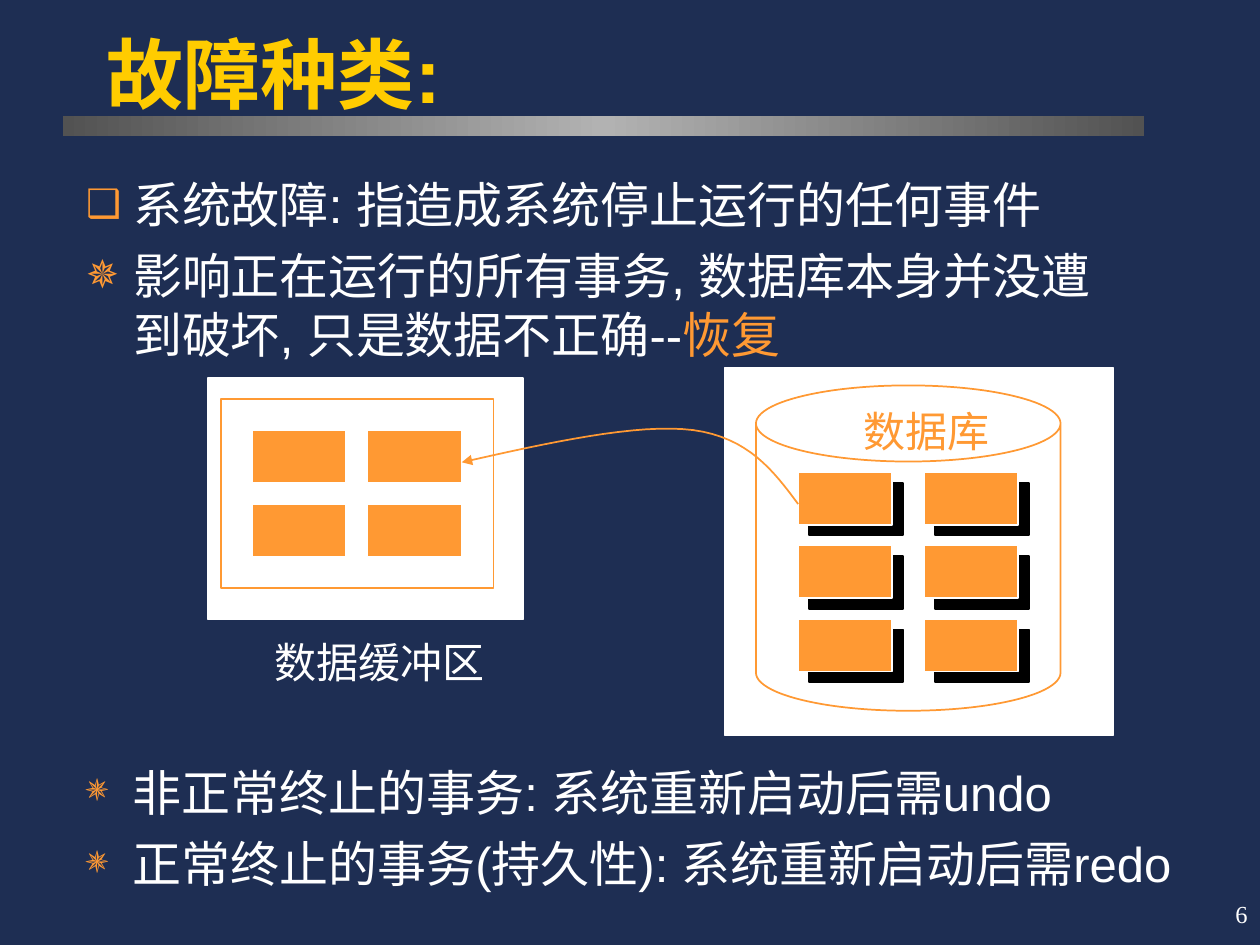
from copy import deepcopy

from lxml import etree
from pptx import Presentation
from pptx.dml.color import RGBColor
from pptx.enum.shapes import MSO_SHAPE as Shape
from pptx.enum.text import MSO_ANCHOR as Anchor, MSO_AUTO_SIZE as AutoSize, PP_ALIGN as Align
from pptx.oxml.ns import qn
from pptx.util import Cm, Pt

NAVY = RGBColor(0x1E, 0x2E, 0x53)
WHITE = RGBColor(0xFF, 0xFF, 0xFF)
ORANGE = RGBColor(0xFF, 0x99, 0x33)
GOLD = RGBColor(0xFF, 0xCC, 0x00)
BLACK = RGBColor(0x00, 0x00, 0x00)
DARK_GREY = RGBColor(0x52, 0x52, 0x52)
LIGHT_GREY = RGBColor(0xB2, 0xB2, 0xB2)

SQUARE, STAR = "❑", "✵"


def add_node(parent, tag, **attributes):
    return etree.SubElement(parent, qn(tag), attributes)


class SlidePainter:
    heading_font = "Arial"
    label_font = "Times New Roman"
    line_width = Pt(1)

    def __init__(self, page):
        self.page = page
        page.background.fill.solid()
        page.background.fill.fore_color.rgb = NAVY

    def place(self, box, area):
        box.left, box.top, box.width, box.height = map(Cm, area)

    def style_span(self, span, size, color, font, bold=False):
        span.font.size = Pt(size)
        span.font.name = font
        span.font.bold = bold
        span.font.color.rgb = color

    def title(self, text, area):
        box = self.page.shapes.title
        self.place(box, area)
        frame = box.text_frame
        frame.text = text
        frame.auto_size = AutoSize.NONE
        frame.vertical_anchor = Anchor.BOTTOM
        para = frame.paragraphs[0]
        para.alignment = Align.LEFT
        self.style_span(para.runs[0], 44, GOLD, self.heading_font, bold=True)

    def text_box(self, area):
        return self.page.shapes.add_textbox(*map(Cm, area))

    def bullets(self, box, items):
        """Each item is a bullet sign followed by (text, color) spans."""
        frame = box.text_frame
        frame.word_wrap = True
        frame.auto_size = AutoSize.NONE
        for index, (sign, *spans) in enumerate(items):
            para = frame.add_paragraph() if index else frame.paragraphs[0]
            para.space_before = Pt(7 if index else 0)
            props = para._p.get_or_add_pPr()
            props.set("marL", str(Cm(0.95)))
            props.set("indent", str(-Cm(0.95)))
            add_node(add_node(props, "a:buClr"), "a:srgbClr", val=str(ORANGE))
            add_node(props, "a:buSzPct", val="80000")
            add_node(props, "a:buChar", char=sign)
            for text, color in spans:
                span = para.add_run()
                span.text = text
                self.style_span(span, 28, color, self.heading_font)

    def label(self, text, area, color, size=24, align=Align.LEFT, anchor=Anchor.TOP):
        frame = self.text_box(area).text_frame
        frame.text = text
        frame.word_wrap = True
        frame.vertical_anchor = anchor
        para = frame.paragraphs[0]
        para.alignment = align
        self.style_span(para.runs[0], size, color, self.label_font)

    def shape(self, kind, area, fill=None, line=None):
        box = self.page.shapes.add_shape(kind, *map(Cm, area))
        box.shadow.inherit = False
        self.paint(box, fill, line)
        return box

    def paint(self, box, fill, line):
        if fill is None:
            box.fill.background()
        else:
            box.fill.solid()
            box.fill.fore_color.rgb = fill
        if line is None:
            box.line.fill.background()
        else:
            box.line.color.rgb = line
            box.line.width = self.line_width

    def gradient_bar(self, area, colors):
        bar = self.shape(Shape.RECTANGLE, area)
        bar.fill.gradient()
        bar.fill.gradient_angle = 0
        stop_list = bar._element.spPr.find(".//" + qn("a:gsLst"))
        stop_list.append(deepcopy(stop_list[0]))
        for index, (stop, color) in enumerate(zip(bar.fill.gradient_stops, colors)):
            stop.position = index / (len(colors) - 1)
            stop.color.rgb = color

    def block_grid(self, left, top, columns, rows, column_step, shadow=False):
        for row in range(rows):
            for column in range(columns):
                area = (left + column * column_step, top + row * 1.48, 1.9, 1.06)
                block = self.shape(Shape.RECTANGLE, area, ORANGE, WHITE)
                if shadow:
                    self.hard_shadow(block)

    def hard_shadow(self, box):
        effects = box._element.spPr.find(qn("a:effectLst"))
        shadow = add_node(effects, "a:outerShdw", blurRad="0", dist=str(Pt(8.5)),
                          dir="2700000", algn="ctr", rotWithShape="0")
        add_node(shadow, "a:srgbClr", val=str(BLACK))

    def curved_arrow(self, start, *segments, steps=16):
        """Draw cubic Bezier segments, each given as two controls and an end."""
        points = []
        origin = start
        for segment in segments:
            anchors = (origin, *segment)
            for step in range(1, steps + 1):
                t = step / steps
                weights = ((1 - t) ** 3, 3 * t * (1 - t) ** 2, 3 * t * t * (1 - t), t ** 3)
                points.append(tuple(
                    Cm(sum(w * anchor[axis] for w, anchor in zip(weights, anchors)))
                    for axis in (0, 1)))
            origin = segment[-1]
        builder = self.page.shapes.build_freeform(Cm(start[0]), Cm(start[1]))
        builder.add_line_segments(points, close=False)
        curve = builder.convert_to_shape()
        curve.shadow.inherit = False
        self.paint(curve, None, ORANGE)
        add_node(curve.line._get_or_add_ln(), "a:tailEnd", type="triangle")


def main():
    deck = Presentation()
    deck.slide_width, deck.slide_height = Cm(25.4), Cm(19.05)
    page = deck.slides.add_slide(deck.slide_layouts[1])
    painter = SlidePainter(page)

    # Title and opening list
    painter.gradient_bar((1.27, 2.33, 21.8, 0.42), (DARK_GREY, LIGHT_GREY, DARK_GREY))
    painter.title("故障种类:", (1.9, 0.63, 21.59, 1.9))
    body = page.placeholders[1]
    painter.place(body, (1.48, 3.39, 21.59, 4.45))
    painter.bullets(body, [
        (SQUARE, ("系统故障: 指造成系统停止运行的任何事件", WHITE)),
        (STAR, ("影响正在运行的所有事务, 数据库本身并没遭到破坏, 只是数据不正确--", WHITE),
         ("恢复", ORANGE)),
    ])

    # Data buffer
    painter.shape(Shape.RECTANGLE, (4.19, 7.62, 6.35, 4.87), WHITE, WHITE)
    painter.shape(Shape.RECTANGLE, (4.45, 8.04, 5.5, 3.81), line=ORANGE)
    painter.block_grid(5.08, 8.68, columns=2, rows=2, column_step=2.33)
    painter.label("数据缓冲区", (5.29, 12.7, 5.29, 1.27), WHITE)

    # Database
    painter.shape(Shape.RECTANGLE, (14.61, 7.41, 7.83, 7.42), WHITE, WHITE)
    cylinder = painter.shape(Shape.CAN, (15.24, 7.77, 6.14, 6.56), line=ORANGE)
    cylinder.adjustments[0] = 0.25
    painter.block_grid(16.09, 9.52, columns=2, rows=3, column_step=2.54, shadow=True)
    painter.label("数据库", (17.15, 8.05, 4.45, 1.27), ORANGE)

    # Transfer from database to buffer
    painter.curved_arrow(
        (16.09, 10.16),
        ((15.6, 9.5), (15.09, 8.82), (13.97, 8.67)),
        ((12.85, 8.53), (11.07, 8.92), (9.31, 9.32)))

    # Closing list and page number
    painter.bullets(painter.text_box((1.48, 15.24, 22.86, 3.18)), [
        (STAR, ("非正常终止的事务: 系统重新启动后需undo", WHITE)),
        (STAR, ("正常终止的事务(持久性): 系统重新启动后需redo", WHITE)),
    ])
    painter.label("6", (20.12, 17.78, 5.28, 1.27), WHITE, size=14,
                  align=Align.RIGHT, anchor=Anchor.MIDDLE)

    deck.save("out.pptx")


if __name__ == "__main__":
    main()
